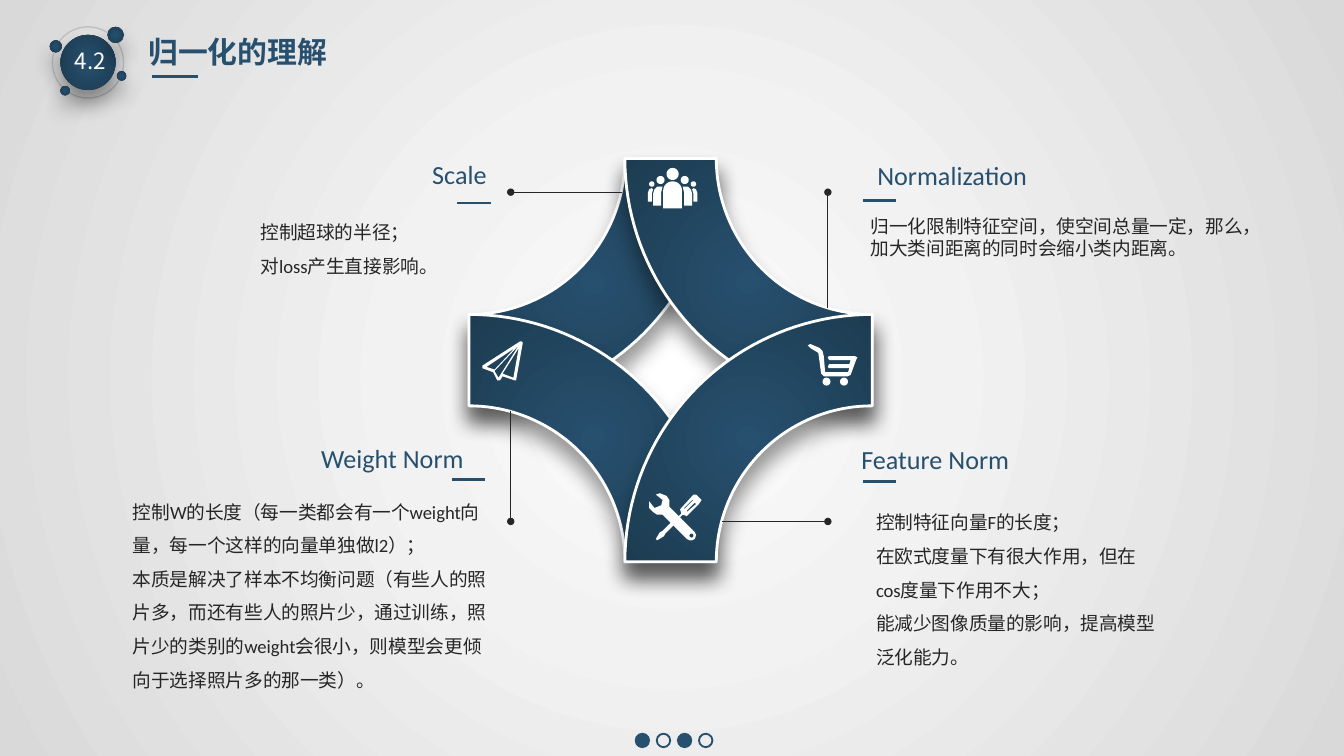
from math import cos, pi, sin

from pptx import Presentation
from pptx.dml.color import RGBColor
from pptx.enum.shapes import MSO_CONNECTOR as CONN, MSO_SHAPE as SHAPE
from pptx.enum.text import MSO_AUTO_SIZE as AUTO, PP_ALIGN as ALIGN
from pptx.oxml import parse_xml
from pptx.oxml.ns import nsdecls, qn
from pptx.util import Inches, Pt

NAVY = RGBColor(0x27, 0x50, 0x6E)
DEEP = RGBColor(0x1D, 0x3C, 0x52)
WHITE = RGBColor(0xFF, 0xFF, 0xFF)
PALE = RGBColor(0xF2, 0xF2, 0xF2)
SILVER = RGBColor(0xD9, 0xD9, 0xD9)
GREY = RGBColor(0xBF, 0xBF, 0xBF)
INK = RGBColor(0x26, 0x26, 0x26)
CJK = "Noto Sans CJK SC"
LATIN = "Calibri"


def radial(fill, element, stops):
    fill.gradient()
    old = element.find(".//" + qn("a:gradFill"))
    gs = "".join(f'<a:gs pos="{pos * 1000}"><a:srgbClr val="{color}"/></a:gs>' for pos, color in stops)
    old.getparent().replace(old, parse_xml(
        f'<a:gradFill {nsdecls("a")} rotWithShape="1"><a:gsLst>{gs}</a:gsLst><a:path path="circle">'
        '<a:fillToRect l="50000" t="50000" r="50000" b="50000"/></a:path></a:gradFill>'))


def style(sp, fill=None, line=None, width=1, raised=False):
    sp.shadow.inherit = False
    if raised:
        radial(sp.fill, sp._element, [(0, NAVY), (100, DEEP)])
        sp._element.spPr.find(qn("a:effectLst")).append(parse_xml(
            f'<a:outerShdw {nsdecls("a")} blurRad="{Pt(11)}" dist="{Pt(8)}" dir="5400000" algn="t" '
            'rotWithShape="0"><a:srgbClr val="000000"><a:alpha val="40000"/></a:srgbClr></a:outerShdw>'))
    elif fill is None:
        sp.fill.background()
    else:
        sp.fill.solid()
        sp.fill.fore_color.rgb = fill
    if line is None:
        sp.line.fill.background()
    else:
        sp.line.color.rgb = line
        sp.line.width = Pt(width)


def circle(slide, x, y, size, **look):
    sp = slide.shapes.add_shape(SHAPE.OVAL, Inches(x), Inches(y), Inches(size), Inches(size))
    style(sp, **look)


def outline(slide, x, y, contours, **look):
    builder = None
    for contour in contours:
        points = [(Inches(x + dx), Inches(y + dy)) for dx, dy in contour]
        if builder is None:
            builder = slide.shapes.build_freeform(*points[0], scale=1)
        else:
            builder.move_to(*points[0])
        builder.add_line_segments(points[1:], close=True)
    style(builder.convert_to_shape(), **look)


def rule(slide, start, end, color=NAVY, width=1.5, dot=False):
    s = slide.shapes.add_connector(CONN.STRAIGHT, *map(Inches, start + end))
    s.line.color.rgb = color
    s.line.width = Pt(width)
    spPr = s._element.spPr
    if dot:
        spPr.find(qn("a:ln")).append(parse_xml(f'<a:tailEnd {nsdecls("a")} type="oval" w="sm" len="sm"/>'))
    spPr.append(parse_xml(f'<a:effectLst {nsdecls("a")}/>'))


def text(slide, box, lines, size, font=LATIN, color=INK, align=ALIGN.LEFT,
         bold=False, wrap=False, spacing=None):
    tf = slide.shapes.add_textbox(*map(Inches, box)).text_frame
    tf.word_wrap = wrap
    tf.auto_size = AUTO.SHAPE_TO_FIT_TEXT
    for i, line in enumerate(lines):
        p = tf.paragraphs[0] if i == 0 else tf.add_paragraph()
        p.text = line
        p.alignment = align
        p.line_spacing = spacing
        p.font.name = font
        p.font.size = Pt(size)
        p.font.bold = bold
        p.font.color.rgb = color


def header(slide, x, y):
    circle(slide, x + 0.02, y, 0.53, line=GREY, width=0.75)
    for dx, dy, size in [(0.08, 0.06, 0.41), (0.43, 0, 0.12), (0, 0.1, 0.09),
                         (0.08, 0.44, 0.07), (0.5, 0.33, 0.07)]:
        circle(slide, x + dx, y + dy, size, raised=True)
    text(slide, (x + 0.63, y, 1.54, 0.37), ["归一化的理解"], 16, CJK, NAVY, ALIGN.CENTER, bold=True)
    rule(slide, (x + 0.76, y + 0.37), (x + 1.1, y + 0.37))
    text(slide, (x + 0.09, y + 0.1, 0.43, 0.3), ["4.2"], 12, CJK, WHITE)


def page_dots(slide, x, y):
    for i in range(4):
        circle(slide, x + i * 0.157, y, 0.1, fill=NAVY if i % 2 == 0 else None, line=NAVY)


def arc(cx, cy, radius, start=0.0, end=2 * pi, steps=24):
    angles = [start + (end - start) * i / steps for i in range(steps + 1)]
    return [(cx + radius * cos(a), cy + radius * sin(a)) for a in angles]


def knot(slide, x, y, size):
    outer, inner = 1.84, 1.16
    band = arc(0, 0, outer, 0, pi / 2, 40) + arc(0, 0, inner, pi / 2, 0, 40)
    for right, low in [(0, 0), (0, 1), (1, 0), (1, 1)]:
        petal = [(dx * (1 - 2 * right), dy * (1 - 2 * low)) for dx, dy in band]
        outline(slide, x + right * size, y + low * size, [petal], raised=True, line=WHITE, width=1.5)
    for start, end in [((1.14, 0.25), (0.31, 0.25)), ((0.31, 1.88), (0.31, 2.7)),
                       ((1.88, 2.7), (2.67, 2.7)), ((2.67, 1.11), (2.67, 0.25))]:
        rule(slide, (x + start[0], y + start[1]), (x + end[0], y + end[1]), INK, 0.5, dot=True)
    people_icon(slide, x + 1.33, y + 0.07)
    cart_icon(slide, x + 2.52, y + 1.38)
    plane_icon(slide, x + 0.1, y + 1.36)
    tools_icon(slide, x + 1.34, y + 2.49)


def people_icon(slide, x, y):
    middle = 0.185
    side = [arc(0.095, 0.09, 0.03), arc(0.03, 0.12, 0.02),
            [(0.04, 0.28), (0.04, 0.19), (0.05, 0.16), (0.07, 0.14), (0.11, 0.14), (0.1, 0.18), (0.1, 0.28)],
            [(0, 0.25), (0, 0.19), (0.01, 0.16), (0.03, 0.15), (0.04, 0.16), (0.03, 0.19), (0.03, 0.25)]]
    mirrored = [[(2 * middle - dx, dy) for dx, dy in contour] for contour in side]
    leader = [arc(middle, 0.045, 0.045),
              [(0.115, 0.3)] + arc(middle, 0.17, 0.07, pi, 2 * pi) + [(0.255, 0.3)]]
    outline(slide, x, y, side + mirrored + leader, fill=WHITE)


def cart_icon(slide, x, y):
    for dx in (0.11, 0.24):
        circle(slide, x + dx, y + 0.25, 0.06, fill=WHITE)
    outline(slide, x, y, [[
        (0.35, 0.09), (0.16, 0.09), (0.15, 0.1), (0.16, 0.12), (0.32, 0.12), (0.31, 0.15),
        (0.16, 0.15), (0.15, 0.17), (0.16, 0.18), (0.31, 0.18), (0.3, 0.21), (0.13, 0.21),
        (0.12, 0.09), (0.11, 0.05), (0.09, 0.03), (0.02, 0), (0, 0.01), (0.02, 0.03),
        (0.07, 0.06), (0.08, 0.07), (0.1, 0.22), (0.12, 0.24), (0.3, 0.24), (0.32, 0.23),
        (0.36, 0.12), (0.37, 0.1)]], fill=WHITE)


def plane_icon(slide, x, y):
    outline(slide, x, y, [
        [(0.29, 0), (0.28, 0), (0, 0.18), (0, 0.2), (0.08, 0.23), (0.11, 0.29), (0.13, 0.29),
         (0.15, 0.26), (0.24, 0.29), (0.25, 0.29), (0.3, 0.01)],
        [(0.23, 0.27), (0.15, 0.24), (0.27, 0.05)],
        [(0.09, 0.22), (0.27, 0.03), (0.12, 0.27)],
        [(0.03, 0.19), (0.24, 0.05), (0.09, 0.21)]], fill=WHITE)


def tools_icon(slide, x, y):
    outline(slide, x, y, [
        [(0.39, 0.05), (0.35, 0.01), (0.33, 0.01), (0.23, 0.12), (0.24, 0.15), (0.22, 0.17),
         (0.15, 0.1), (0.15, 0.05), (0.13, 0.02), (0.08, 0), (0.05, 0.01), (0.1, 0.05),
         (0.09, 0.09), (0.04, 0.11), (0, 0.06), (0, 0.11), (0.03, 0.14), (0.06, 0.16),
         (0.1, 0.16), (0.16, 0.22), (0.1, 0.28), (0.08, 0.29), (0.05, 0.34), (0.06, 0.35),
         (0.11, 0.32), (0.12, 0.3), (0.18, 0.24), (0.28, 0.34), (0.3, 0.35), (0.32, 0.35),
         (0.34, 0.34), (0.35, 0.31), (0.34, 0.29), (0.23, 0.18), (0.25, 0.16), (0.28, 0.17),
         (0.37, 0.08)],
        arc(0.315, 0.315, 0.015),
        [(0.26, 0.12), (0.26, 0.11), (0.32, 0.05), (0.33, 0.05)],
        [(0.28, 0.14), (0.28, 0.13), (0.34, 0.07), (0.35, 0.08)]], fill=WHITE)


def callout(slide, x, y, title, title_x, title_w, align, mark, body_box, lines, spacing=1.5):
    text(slide, (x + title_x, y, title_w, 0.34), [title], 14, color=NAVY, align=align)
    rule(slide, (x + mark[0], y + mark[1]), (x + mark[0] + 0.25, y + mark[1]))
    dx, dy, width, height = body_box
    text(slide, (x + dx, y + dy, width, height), lines, 10, wrap=True, spacing=spacing)


def main():
    prs = Presentation()
    prs.slide_width, prs.slide_height = Inches(10), Inches(10 * 9 / 16)
    slide = prs.slides.add_slide(prs.slide_layouts[6])
    radial(slide.background.fill, slide._element, [(0, WHITE), (35, PALE), (100, SILVER)])
    page_dots(slide, 4.73, 5.46)
    header(slide, 0.37, 0.2)
    knot(slide, 3.49, 1.18, 3)
    callout(slide, 1.84, 1.13, "Scale", 1.16, 0.72, ALIGN.RIGHT, (1.56, 0.38), (0, 0.38, 1.56, 0.6),
            ["控制超球的半径；", "对loss产生直接影响。"])
    callout(slide, 6.31, 1.14, "Normalization", 0, 1.55, ALIGN.CENTER, (0.11, 0.35), (0.07, 0.41, 3.09, 0.44),
            ["归一化限制特征空间，使空间总量一定，那么，加大类间距离的同时会缩小类内距离。"], None)
    callout(slide, 0.89, 3.24, "Weight Norm", 1.29, 1.48, ALIGN.CENTER, (2.47, 0.33), (0, 0.35, 2.86, 1.61),
            ["控制W的长度（每一类都会有一个weight向量，每一个这样的向量单独做l2）；",
             "本质是解决了样本不均衡问题（有些人的照片多，而还有些人的照片少，通过训练，"
             "照片少的类别的weight会很小，则模型会更倾向于选择照片多的那一类）。"])
    callout(slide, 6.31, 3.25, "Feature Norm", 0, 1.52, ALIGN.LEFT, (0.11, 0.33), (0.11, 0.42, 2.3, 1.36),
            ["控制特征向量F的长度；", "在欧式度量下有很大作用，但在cos度量下作用不大；",
             "能减少图像质量的影响，提高模型泛化能力。"])
    prs.save("out.pptx")


if __name__ == "__main__":
    main()
